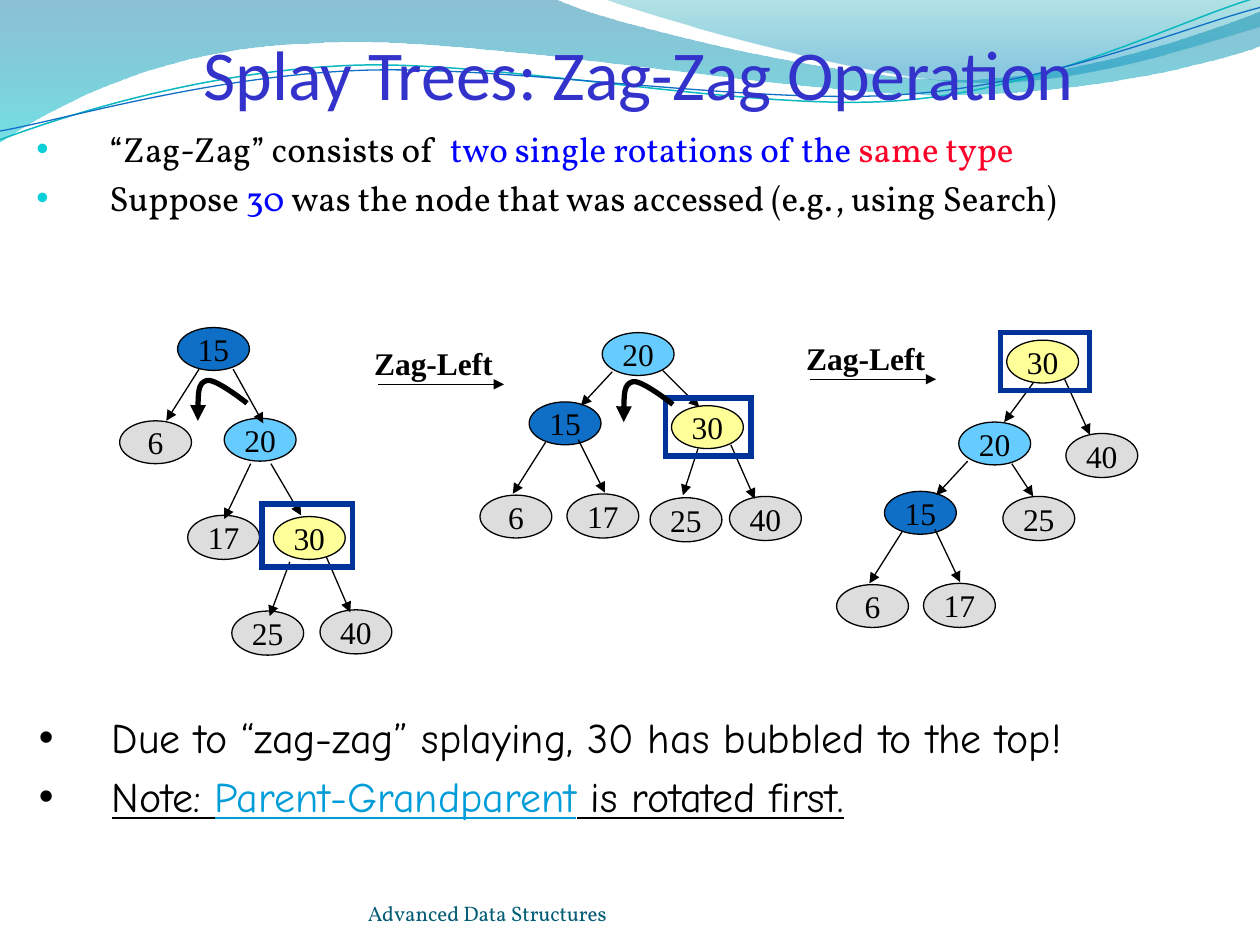
from lxml import etree
from pptx import Presentation
from pptx.dml.color import RGBColor
from pptx.enum.shapes import MSO_CONNECTOR, MSO_SHAPE
from pptx.enum.text import MSO_ANCHOR, MSO_AUTO_SIZE, PP_ALIGN
from pptx.oxml.ns import qn
from pptx.util import Inches, Pt

LINE = MSO_CONNECTOR.STRAIGHT
OVAL, RECT = MSO_SHAPE.OVAL, MSO_SHAPE.RECTANGLE
MID, LOW = MSO_ANCHOR.MIDDLE, MSO_ANCHOR.BOTTOM
CENTER = PP_ALIGN.CENTER
GROW, FIXED = MSO_AUTO_SIZE.SHAPE_TO_FIT_TEXT, MSO_AUTO_SIZE.NONE

COLORS = {
    "black": "000000", "title": "3333CC", "blue": "0000FF", "red": "FD0128",
    "bullet": "0BD0D9", "accent": "009DD9", "foot": "045D75", "frame": "003399",
    "leaf": "DDDDDD", "15": "0F6FC6", "20": "66CCFF", "30": "FFFF99",
    "teal": "0AB8BF", "navy": "0F6FC6",
    "deep": "0074A1", "aqua": "00C6CF", "sea": "00A1A9", "sky": "008BBF",
}
SERIF, BODY, NOTE = "Times New Roman", "Vollkorn", "Comic Neue"

# Waves: start point, then straight (x, y) or curved (x1, y1, x2, y2, x, y) steps
BANDS = [
    ([(0, 0), (4.4, -0.01), (4.76, 0.17, 6.64, 0.63, 7.58, 0.63),
      (8.53, 0.63, 9.58, 0.26, 10, 0.09), (10.01, 0.36),
      (9.83, 0.44, 8.7, 0.76, 7.46, 0.75), (6.22, 0.75, 3.82, 0.28, 2.57, 0.34),
      (1.29, 0.36, 0.46, 0.83, -0.01, 1.13), (0, 0)],
     [(0, "deep", 45), (1, "aqua", 55)]),
    ([(4.79, -0.01), (5.09, 0.11, 6.82, 0.62, 7.69, 0.65),
      (8.56, 0.69, 9.61, 0.32, 10, 0.21), (10, 0), (4.79, -0.01)],
     [(0, "sea", 30), (0.8, "sky", 45)]),
]
STRANDS = [
    ([(0, 1.11), (0.48, 0.93, 1.58, 0.57, 2.77, 0.52),
      (3.95, 0.47, 5.93, 0.89, 7.13, 0.8), (8.33, 0.71, 9.38, 0.15, 9.98, -0.02)],
     "teal", 0.85),
    ([(0, 1.04), (0.47, 0.96, 1.64, 0.61, 2.83, 0.56),
      (4.03, 0.51, 5.97, 0.84, 7.17, 0.75), (8.36, 0.67, 9.41, 0.21, 10, 0.06)],
     "navy", 0.75),
]

# Each tree: nodes (key, left, top), edges (x1, y1, x2, y2), frame, start of turn
TREES = [
    ([(15, 1.41, 2.6), (6, 0.95, 3.34), (20, 1.78, 3.32), (30, 2.17, 4.1),
      (17, 1.49, 4.09), (25, 1.84, 4.85), (40, 2.54, 4.84)],
     [(1.58, 2.93, 1.32, 3.34), (1.85, 2.93, 2.09, 3.36), (2.15, 3.68, 2.39, 4.09),
      (2.3, 4.46, 2.14, 4.89), (1.99, 3.68, 1.78, 4.12), (2.59, 4.42, 2.78, 4.86)],
     (2.08, 4, 0.72, 0.5), (1.57, 3.34)),
    ([(15, 4.2, 3.19), (6, 3.81, 3.93), (20, 4.78, 2.64), (30, 5.33, 3.22),
      (17, 4.5, 3.92), (25, 5.16, 3.95), (40, 5.79, 3.94)],
     [(4.33, 3.51, 4.07, 3.92), (4.59, 3.49, 4.8, 3.91), (5.26, 2.94, 5.55, 3.23),
      (5.54, 3.56, 5.42, 3.93), (4.86, 2.95, 4.61, 3.22), (5.8, 3.53, 5.99, 3.96)],
     (5.28, 3.16, 0.68, 0.46), (4.95, 3.35)),
    ([(15, 7.02, 3.9), (6, 6.64, 4.64), (20, 7.61, 3.35), (30, 7.99, 2.7),
      (17, 7.33, 4.63), (25, 7.96, 3.94), (40, 8.46, 3.44)],
     [(7.16, 4.22, 6.9, 4.63), (7.42, 4.2, 7.62, 4.62), (8.03, 3.68, 8.2, 3.94),
      (8.2, 3.04, 7.97, 3.35), (7.68, 3.66, 7.43, 3.93), (8.45, 3.01, 8.65, 3.45)],
     (7.94, 2.64, 0.71, 0.46), None),
]


def rgb(name):
    return RGBColor.from_string(COLORS[name])


def style(run, size, font, color, bold=False, under=False):
    run.font.size, run.font.name = Pt(size), font
    run.font.color.rgb = rgb(color)
    if bold:
        run.font.bold = True
    if under:
        run.font.underline = True


def stroke(shape, color, width, end=None):
    shape.line.color.rgb = rgb(color)
    shape.line.width = Pt(width)
    if end:
        ln = shape.line._get_or_add_ln()
        etree.SubElement(ln, qn(f"a:{end}"), type="triangle")


def curve(slide, steps, close=False):
    """Join the steps' end points, then bend the curved ones."""
    ends = [(Inches(step[-2]), Inches(step[-1])) for step in steps]
    pen = slide.shapes.build_freeform(*ends[0])
    pen.add_line_segments(ends[1:], close=close)
    shape = pen.convert_to_shape()
    shape.shadow.inherit = False
    legs = list(shape._element.spPr.iter(qn("a:lnTo")))
    for leg, step in zip(legs, steps[1:]):
        if len(step) == 6:
            leg.tag = qn("a:cubicBezTo")
            for i in (0, 1):
                x, y = step[2 * i:2 * i + 2]
                knot = etree.Element(qn("a:pt"), x=str(Inches(x) - shape.left),
                                     y=str(Inches(y) - shape.top))
                leg.insert(i, knot)
    return shape


def add_band(slide, steps, stops):
    band = curve(slide, steps, close=True)
    band.line.fill.background()
    band.fill.gradient()
    band.fill.gradient_angle = 270
    for stop, (pos, color, _) in zip(band.fill.gradient_stops, stops):
        stop.position = pos
        stop.color.rgb = rgb(color)
    for clr, (_, _, alpha) in zip(band._element.spPr.iter(qn("a:srgbClr")), stops):
        etree.SubElement(clr, qn("a:alpha"), val=str(alpha * 1000))


def add_strand(slide, steps, color, width, end=None):
    strand = curve(slide, steps)
    strand.fill.background()
    stroke(strand, color, width, end)


def add_turn(slide, x, y):
    steps = [(0, 0), (0, -0.15, 0, -0.3, 0.07, -0.32),
             (0.13, -0.34, 0.34, -0.18, 0.39, -0.14)]
    moved = [tuple(v + (x, y)[i % 2] for i, v in enumerate(step)) for step in steps]
    add_strand(slide, moved, "black", 3, "headEnd")


def add_arrow(slide, *ends):
    line = slide.shapes.add_connector(LINE, *map(Inches, ends))
    stroke(line, "black", 0.75, "tailEnd")
    etree.SubElement(line._element.spPr, qn("a:effectLst"))


def add_node(slide, key, x, y):
    high = 0.35 if key in (17, 25, 40) else 0.34
    node = slide.shapes.add_shape(OVAL, *map(Inches, (x, y, 0.57, high)))
    node.shadow.inherit = False
    node.fill.solid()
    node.fill.fore_color.rgb = rgb(str(key) if str(key) in COLORS else "leaf")
    stroke(node, "black", 0.75)
    frame = node.text_frame
    frame.text, frame.word_wrap, frame.vertical_anchor = str(key), False, MID
    frame.paragraphs[0].alignment = CENTER
    style(frame.paragraphs[0].runs[0], 18, SERIF, "black")


def add_frame(slide, box):
    rect = slide.shapes.add_shape(RECT, *map(Inches, box))
    rect.shadow.inherit = False
    rect.fill.background()
    stroke(rect, "frame", 3)
    etree.SubElement(rect.line._get_or_add_ln(), qn("a:miter"), lim="800000")


def add_box(slide, box, wrap=True):
    frame = slide.shapes.add_textbox(*map(Inches, box)).text_frame
    frame.word_wrap = wrap
    return frame


def add_list(slide, box, items, size, font, bullet):
    """Each item: its (text, colour) runs and whether it is underlined."""
    frame = add_box(slide, box)
    for i, (runs, under) in enumerate(items):
        para = frame.add_paragraph() if i else frame.paragraphs[0]
        para.space_before = Pt(size * 0.2)
        props = para._p.get_or_add_pPr()
        props.set("marL", str(Inches(0.58)))
        props.set("indent", str(Inches(-0.58)))
        tint = etree.SubElement(props, qn("a:buClr"))
        etree.SubElement(tint, qn("a:srgbClr"), val=COLORS[bullet])
        etree.SubElement(props, qn("a:buFont"), typeface="Arial")
        etree.SubElement(props, qn("a:buChar"), char="•")
        for text, color in runs:
            run = para.add_run()
            run.text = text
            style(run, size, font, color, under=under)


def add_step(slide, x, y):
    add_arrow(slide, x, y, x + 1, y)
    frame = add_box(slide, (x - 0.13, y - 0.37, 1.15, 0.4), wrap=False)
    frame.auto_size, frame.text = GROW, "Zag-Left"
    style(frame.paragraphs[0].runs[0], 18, SERIF, "black", bold=True)


def add_tree(slide, nodes, edges, box, turn):
    for node in nodes:
        add_node(slide, *node)
    for edge in edges:
        add_arrow(slide, *edge)
    add_frame(slide, box)
    if turn:
        add_turn(slide, *turn)


def set_title(slide, text):
    title = slide.shapes.title
    title.left, title.top, title.width, title.height = map(Inches, (0.3, 0.15, 9.54, 0.76))
    frame = title.text_frame
    frame.text, frame.vertical_anchor, frame.auto_size = text, LOW, FIXED
    frame.margin_left = frame.margin_right = frame.margin_bottom = 0
    frame.paragraphs[0].alignment = CENTER
    style(frame.paragraphs[0].runs[0], 40, "Calibri", "title")


def add_foot(slide, text):
    frame = add_box(slide, (2.92, 6.95, 3.67, 0.4))
    frame.margin_left = frame.margin_right = frame.margin_top = frame.margin_bottom = 0
    frame.text, frame.vertical_anchor = text, LOW
    style(frame.paragraphs[0].runs[0], 12, BODY, "foot")


def main():
    prs = Presentation()
    prs.slide_width, prs.slide_height = Inches(10), Inches(7.5)
    slide = prs.slides.add_slide(prs.slide_layouts[5])

    # Waves go behind the title
    for band in BANDS:
        add_band(slide, *band)
    for strand in STRANDS:
        add_strand(slide, *strand)
    slide.shapes._spTree.append(slide.shapes.title._element)
    set_title(slide, "Splay Trees: Zag-Zag Operation")

    # Text above and below the trees
    add_list(slide, (0.19, 0.96, 9.37, 1.19), [
        ([("“Zag-Zag” consists of  ", "black"), ("two single rotations of the ", "blue"),
          ("same type", "red")], False),
        ([("Suppose ", "black"), ("30 ", "blue"),
          ("was the node that was accessed (e.g., using Search)", "black")], False),
    ], 20, BODY, "bullet")
    add_list(slide, (0.21, 5.6, 9.45, 1.25), [
        ([("Due to “zag-zag” splaying, 30 has bubbled to the top!", "black")], False),
        ([("Note: ", "black"), ("Parent-Grandparent", "accent"),
          (" is rotated first.", "black")], True),
    ], 24, NOTE, "black")

    # Trees and the steps between them
    add_step(slide, 3, 3.05)
    for tree in TREES:
        add_tree(slide, *tree)
    add_step(slide, 6.43, 3.01)
    add_foot(slide, "Advanced Data Structures")
    prs.save("out.pptx")


if __name__ == "__main__":
    main()
